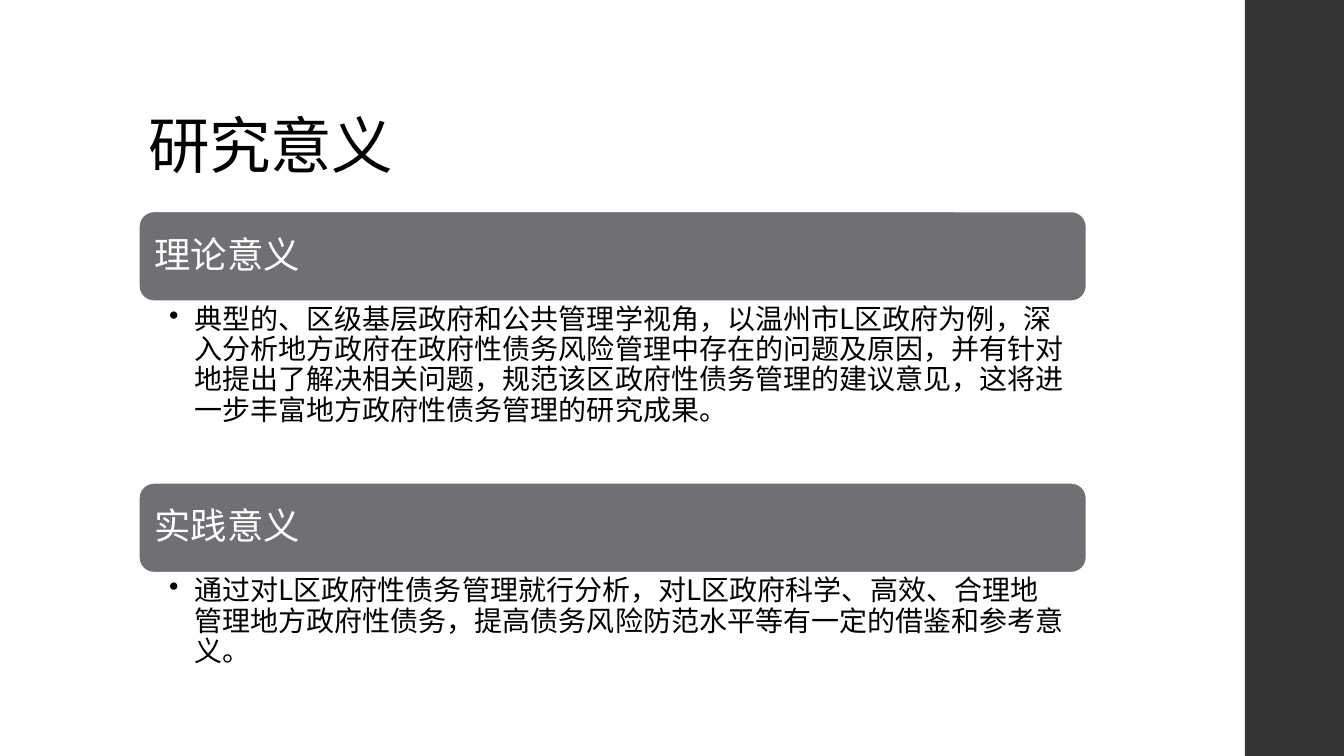
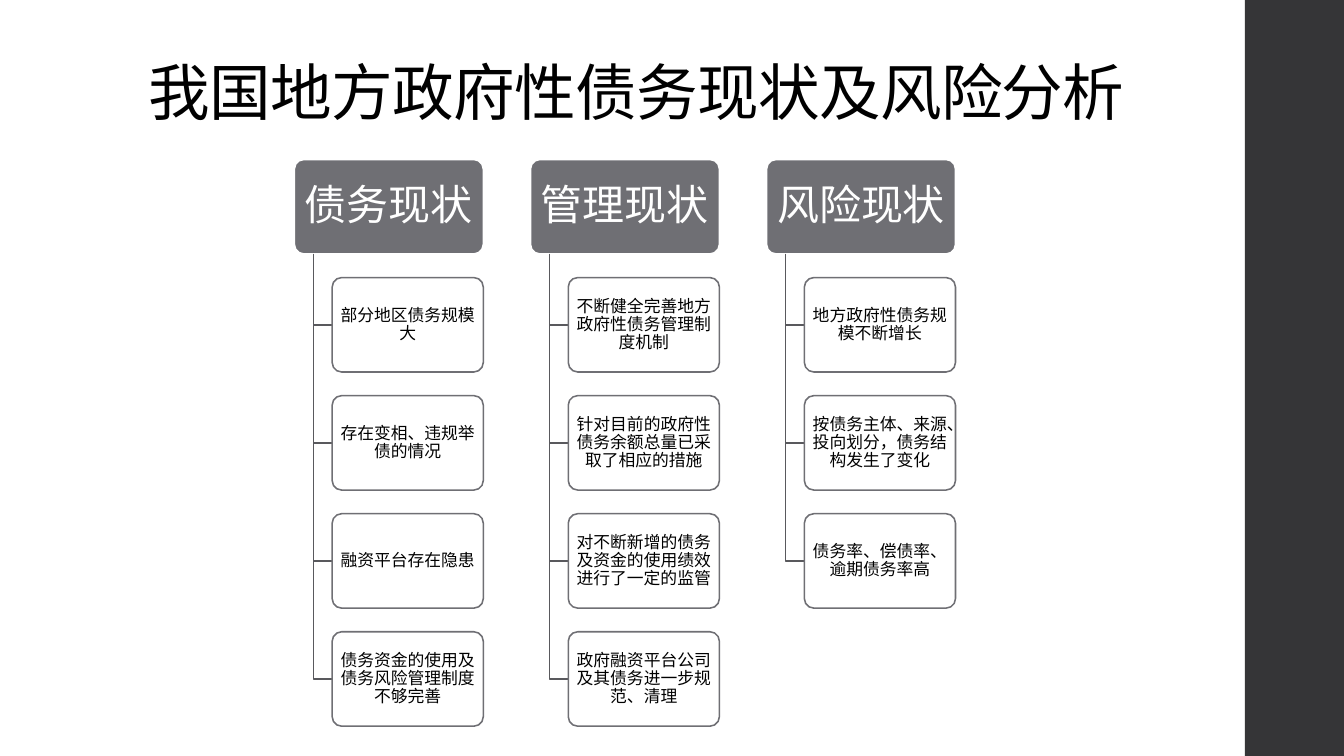
from dataclasses import dataclass

from lxml import etree
from pptx import Presentation
from pptx.dml.color import RGBColor
from pptx.enum.lang import MSO_LANGUAGE_ID
from pptx.enum.shapes import MSO_SHAPE
from pptx.enum.text import MSO_ANCHOR, PP_ALIGN
from pptx.oxml.ns import qn
from pptx.util import Cm, Pt

RECTANGLE = MSO_SHAPE.RECTANGLE
ROUNDED = MSO_SHAPE.ROUNDED_RECTANGLE
TOP, MIDDLE, BOTTOM = MSO_ANCHOR.TOP, MSO_ANCHOR.MIDDLE, MSO_ANCHOR.BOTTOM
LEFT, CENTER = PP_ALIGN.LEFT, PP_ALIGN.CENTER
CHINESE = MSO_LANGUAGE_ID.SIMPLIFIED_CHINESE

FONT = "Noto Sans CJK SC"
COLORS = {
    "white": "FFFFFF",
    "black": "000000",
    "band": "353537",
    "header": "6F6F74",
    "branch": "59595D",
}
LINE_WIDTH = Pt(1.1)
PAGE_WIDTH, PAGE_HEIGHT = 33.87, 19.05
BAND_LEFT = 31.37
CONTENT_LEFT = 3.5
BULLET_INDENT = Cm(0.64)

MEANINGS = [
    ("理论意义", "典型的、区级基层政府和公共管理学视角，以温州市L区政府为例，深入分析地方政府在政府性债务风险管理中存在的问题及原因，并有针对地提出了解决相关问题，规范该区政府性债务管理的建议意见，这将进一步丰富地方政府性债务管理的研究成果。"),
    ("实践意义", "通过对L区政府性债务管理就行分析，对L区政府科学、高效、合理地管理地方政府性债务，提高债务风险防范水平等有一定的借鉴和参考意义。"),
]
SITUATIONS = [
    ("债务现状", [
        "部分地区债务规模大",
        "存在变相、违规举债的情况",
        "融资平台存在隐患",
        "债务资金的使用及债务风险管理制度不够完善",
    ]),
    ("管理现状", [
        "不断健全完善地方政府性债务管理制度机制",
        "针对目前的政府性债务余额总量已采取了相应的措施",
        "对不断新增的债务及资金的使用绩效进行了一定的监管",
        "政府融资平台公司及其债务进一步规范、清理",
    ]),
    ("风险现状", [
        "地方政府性债务规模不断增长",
        "按债务主体、来源、投向划分，债务结构发生了变化",
        "债务率、偿债率、逾期债务率高",
    ]),
]


@dataclass
class Box:
    left: float
    top: float
    width: float
    height: float

    def lengths(self):
        return Cm(self.left), Cm(self.top), Cm(self.width), Cm(self.height)


def color(name):
    return RGBColor.from_string(COLORS[name])


def write(shape, text, size, ink, anchor, align=LEFT, insets=(0.25, 0.13, 0.25, 0.13), bullet=False, spacing=None):
    frame = shape.text_frame
    frame.word_wrap = True
    frame.vertical_anchor = anchor
    frame.margin_left, frame.margin_top, frame.margin_right, frame.margin_bottom = map(Cm, insets)
    frame.text = text
    para = frame.paragraphs[0]
    para.alignment = align
    para.line_spacing = 0.9
    if bullet:
        properties = para._p.get_or_add_pPr()
        properties.set("marL", str(BULLET_INDENT))
        properties.set("indent", str(-BULLET_INDENT))
        etree.SubElement(properties, qn("a:buChar")).set("char", "•")
    span = para.runs[0]
    span.font.name = FONT
    span.font.size = Pt(size)
    span.font.color.rgb = color(ink)
    span.font.language_id = CHINESE
    properties = span._r.get_or_add_rPr()
    etree.SubElement(properties, qn("a:ea")).set("typeface", FONT)
    if spacing is not None:
        properties.set("spc", str(spacing))


def add_panel(page, kind, box, fill, line=None):
    panel = page.shapes.add_shape(kind, *box.lengths())
    panel.shadow.inherit = False
    panel.fill.solid()
    panel.fill.fore_color.rgb = color(fill)
    if line:
        panel.line.color.rgb = color(line)
        panel.line.width = LINE_WIDTH
    else:
        panel.line.fill.background()
    return panel


def add_page(deck, title, title_top):
    page = deck.slides.add_slide(deck.slide_layouts[6])
    add_panel(page, RECTANGLE, Box(BAND_LEFT, 0, PAGE_WIDTH - BAND_LEFT, PAGE_HEIGHT), "band")
    title_box = Box(CONTENT_LEFT, title_top, 26.92, 3.68)
    heading = page.shapes.add_textbox(*title_box.lengths())
    write(heading, title, 44, "black", BOTTOM, spacing=-50)
    return page


def add_meaning(page, box, heading, detail):
    bar_height = 2.26
    bar = add_panel(page, ROUNDED, Box(box.left, box.top, box.width, bar_height), "header", "white")
    write(bar, heading, 26, "white", MIDDLE, insets=(0.28,) * 4)
    body_box = Box(box.left, box.top + bar_height, box.width, box.height - bar_height)
    body = page.shapes.add_textbox(*body_box.lengths())
    write(body, detail, 20, "black", TOP, insets=(0.76, 0.1, 0.51, 0.1), bullet=True)


def add_card(page, box, text, size, fill, line, ink, insets):
    card = add_panel(page, ROUNDED, box, fill, line)
    card.adjustments[0] = 0.1
    write(card, text, size, ink, MIDDLE, CENTER, insets)


def add_branch(page, left, top, right, bottom):
    builder = page.shapes.build_freeform(Cm(left), Cm(top))
    builder.add_line_segments([(Cm(left), Cm(bottom)), (Cm(right), Cm(bottom))], close=False)
    branch = builder.convert_to_shape()
    branch.shadow.inherit = False
    branch.fill.background()
    branch.line.color.rgb = color("branch")
    branch.line.width = LINE_WIDTH


def add_situation(page, box, heading, items):
    add_card(page, box, heading, 30, "header", "white", "white", (0.15, 0.1, 0.15, 0.1))
    stem = box.left + box.width * 0.1
    item_left = box.left + box.width * 0.2
    for row, item in enumerate(items, 1):
        item_box = Box(item_left, box.top + row * box.height * 1.25, box.width * 0.8, box.height)
        add_branch(page, stem, box.top + box.height, item_left, item_box.top + box.height / 2)
        add_card(page, item_box, item, 12, "white", "header", "black", (0.08, 0.05, 0.08, 0.05))


def build_meaning_page(deck):
    page = add_page(deck, "研究意义", 1.02)
    pitch = 6.84
    for row, (heading, detail) in enumerate(MEANINGS):
        add_meaning(page, Box(CONTENT_LEFT, 5.33 + row * pitch, 23.88, pitch), heading, detail)


def build_situation_page(deck):
    page = add_page(deck, "我国地方政府性债务现状及风险分析", -0.3)
    height = 2.38
    for column, (heading, items) in enumerate(SITUATIONS):
        box = Box(7.42 + column * height * 2.5, 4.02, height * 2, height)
        add_situation(page, box, heading, items)


def main():
    deck = Presentation()
    deck.slide_width, deck.slide_height = Cm(PAGE_WIDTH), Cm(PAGE_HEIGHT)
    build_meaning_page(deck)
    build_situation_page(deck)
    deck.save("out.pptx")


if __name__ == "__main__":
    main()
